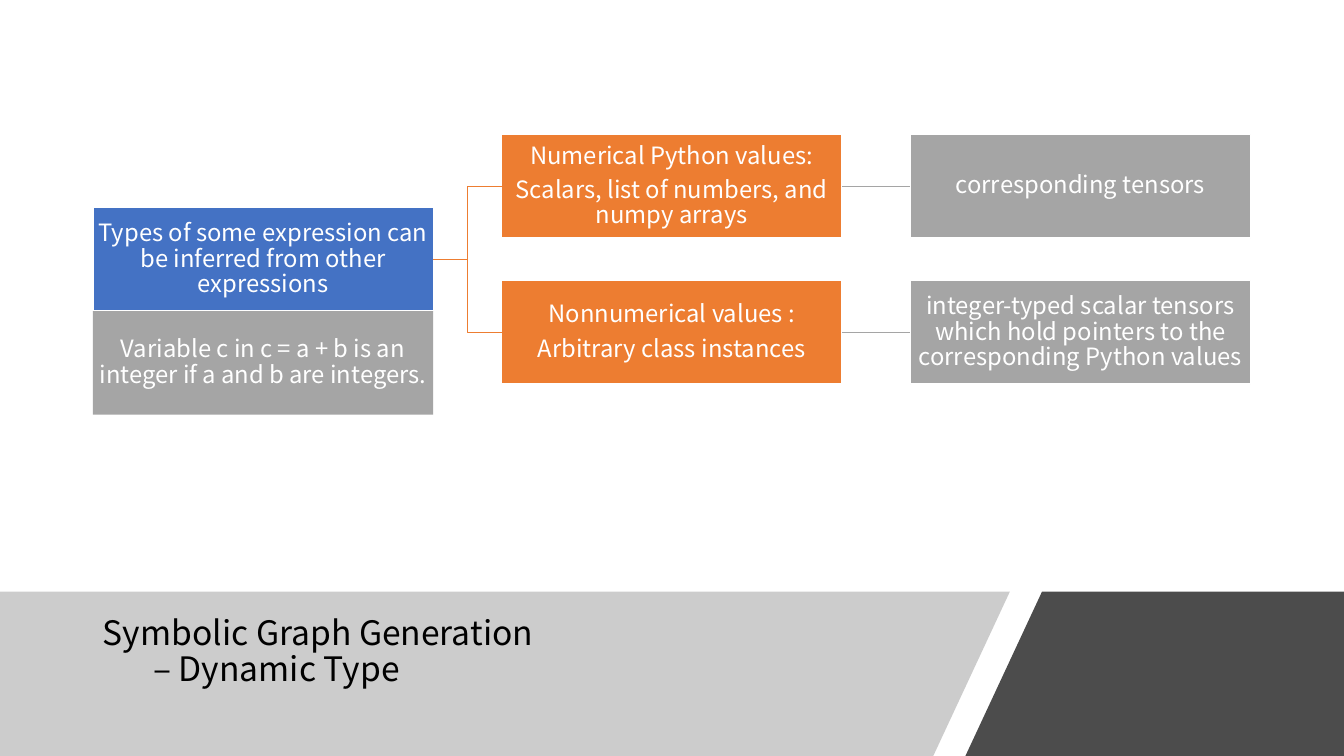
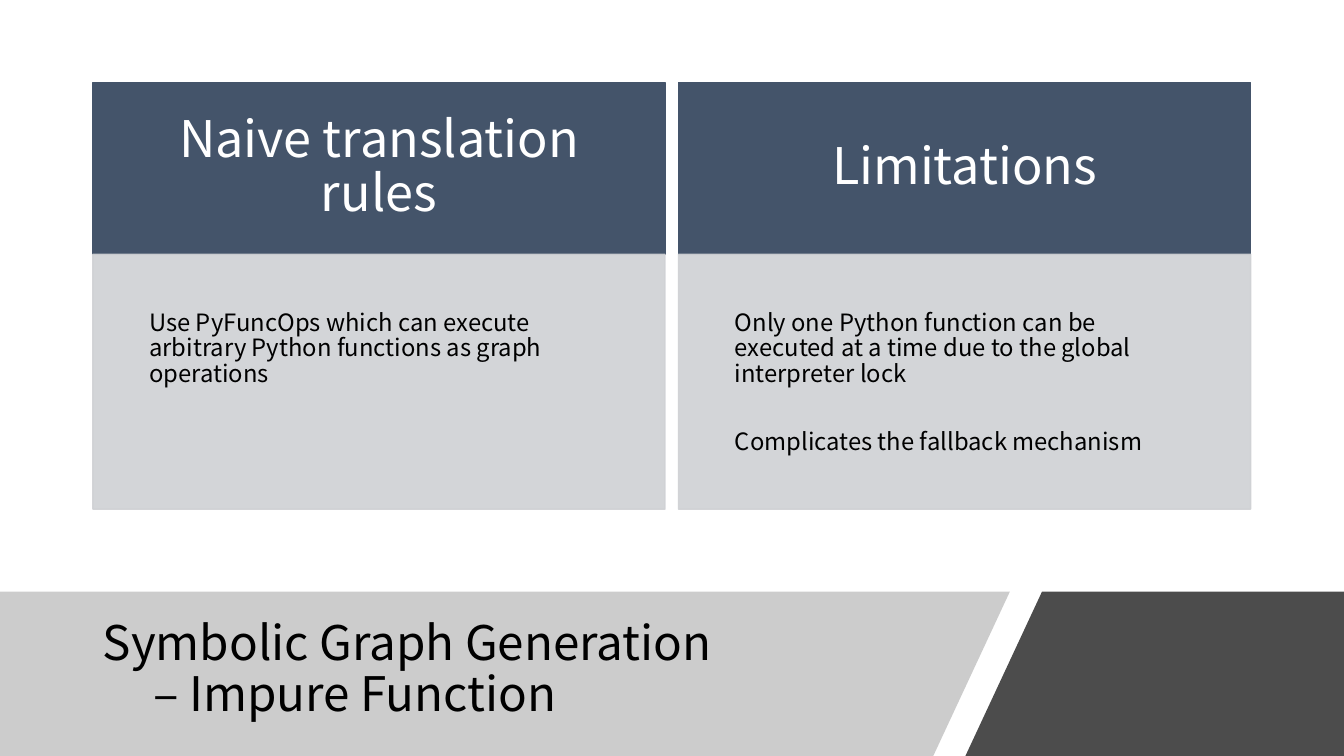
from lxml.etree import SubElement
from pptx import Presentation
from pptx.dml.color import RGBColor
from pptx.enum.shapes import MSO_CONNECTOR as CONNECTOR, MSO_SHAPE as SHAPE
from pptx.enum.text import MSO_ANCHOR as ANCHOR, MSO_AUTO_SIZE as AUTO_SIZE, PP_ALIGN as ALIGN
from pptx.oxml.ns import qn
from pptx.util import Cm, Pt

FONT = "Noto Sans CJK SC"
BLACK = RGBColor(0x00, 0x00, 0x00)
WHITE = RGBColor(0xFF, 0xFF, 0xFF)
MID_GREY = RGBColor(0x80, 0x80, 0x80)
BLUE = RGBColor(0x44, 0x72, 0xC4)
ORANGE = RGBColor(0xED, 0x7D, 0x31)
GREY = RGBColor(0xA5, 0xA5, 0xA5)
NAVY = RGBColor(0x44, 0x54, 0x6A)
PALE = RGBColor(0xCF, 0xD1, 0xD4)

PAGE_WIDTH, PAGE_HEIGHT = Cm(33.87), Cm(19.05)
BAND_TOP = Cm(14.91)


def set_opacity(fill_parent, percent):
    """Make the solid fill found below an element translucent."""
    color = fill_parent.find(qn("a:solidFill"))[0]
    SubElement(color, qn("a:alpha")).set("val", str(percent * 1000))


def add_span(para, text, size, color):
    span = para.add_run()
    span.text = text
    span.font.name = FONT
    span.font.size = Pt(size)
    span.font.color.rgb = color


def add_box(page, place, fill, line=None, opacity=100):
    box = page.shapes.add_shape(SHAPE.RECTANGLE, *place)
    box.shadow.inherit = False
    box.fill.solid()
    box.fill.fore_color.rgb = fill
    if line is None:
        box.line.fill.background()
    else:
        box.line.color.rgb = line
        box.line.width = Pt(1)
    if opacity < 100:
        properties = box.element.spPr
        set_opacity(properties, opacity)
        set_opacity(properties.find(qn("a:ln")), opacity)
    return box


def write(box, lines, size, color, inset, align=ALIGN.CENTER, anchor=ANCHOR.MIDDLE, gap=6):
    """Fill a box with one paragraph a line; inset is (sides, top and bottom)."""
    frame = box.text_frame
    frame.word_wrap = True
    frame.vertical_anchor = anchor
    frame.margin_left = frame.margin_right = inset[0]
    frame.margin_top = frame.margin_bottom = inset[1]
    for index, line in enumerate(lines):
        para = frame.add_paragraph() if index else frame.paragraphs[0]
        para.alignment = align
        para.line_spacing = 0.9
        para.space_after = Pt(gap)
        add_span(para, line, size, color)


# Shared footer: two slanted bands and the title
def add_band(page, corners, fill, opacity):
    builder = page.shapes.build_freeform(*corners[0], scale=1.0)
    builder.add_line_segments(corners[1:], close=True)
    band = builder.convert_to_shape()
    band.shadow.inherit = False
    band.fill.solid()
    band.fill.fore_color.rgb = fill
    band.line.fill.background()
    set_opacity(band.element.spPr, opacity)


def add_footer(page):
    add_band(page, [(0, BAND_TOP), (Cm(25.45), BAND_TOP),
                    (Cm(23.52), PAGE_HEIGHT), (0, PAGE_HEIGHT)], MID_GREY, 40)
    add_band(page, [(Cm(26.26), BAND_TOP), (PAGE_WIDTH, BAND_TOP),
                    (PAGE_WIDTH, PAGE_HEIGHT), (Cm(24.33), PAGE_HEIGHT)], BLACK, 70)


def set_title(page, first, second, size, bottom_inset):
    title = page.shapes.title
    title.left, title.top, title.width, title.height = Cm(2.34), Cm(15.37), Cm(21.44), Cm(3.05)
    frame = title.text_frame
    frame.auto_size = AUTO_SIZE.NONE
    frame.word_wrap = True
    frame.vertical_anchor = ANCHOR.MIDDLE
    frame.margin_bottom = bottom_inset
    para = frame.paragraphs[0]
    para.alignment = ALIGN.LEFT
    para.line_spacing = 0.9
    add_span(para, first, size, BLACK)
    para.add_line_break()
    add_span(para, "\t" + second, size, BLACK)
    # The title lies in front of the bands
    title.element.getparent().append(title.element)


def add_page(deck, first, second, size, bottom_inset=Cm(0.13)):
    page = deck.slides.add_slide(deck.slide_layouts[5])
    add_footer(page)
    set_title(page, first, second, size, bottom_inset)
    return page


# Type tree: a root with its note, branching into kinds and their results
def join(page, start, end, color, kind):
    link = page.shapes.add_connector(kind, 0, 0, 0, 0)
    link.begin_connect(start, 3)
    link.end_connect(end, 1)
    link.line.color.rgb = color
    link.line.width = Pt(1)
    SubElement(link.element.spPr, qn("a:effectLst"))


def add_type_tree(page, left, top, root_text, note_text, branches):
    width, height = Cm(8.58), Cm(2.61)
    column_step, row_step = Cm(10.3), Cm(3.68)

    def add_node(column, y, lines, fill, line=WHITE):
        node = add_box(page, (left + column * column_step, y, width, height), fill, line)
        write(node, lines, 17, WHITE, (Cm(0.03), Cm(0.03)))
        return node

    root_top = top + row_step * (len(branches) - 1) // 2
    root = add_node(0, root_top, [root_text], BLUE)
    add_node(0, root_top + height, [note_text], GREY, None)
    for row, (kind_lines, result) in enumerate(branches):
        y = top + row * row_step
        kind_node = add_node(1, y, kind_lines, ORANGE)
        result_node = add_node(2, y, [result], GREY)
        join(page, root, kind_node, ORANGE, CONNECTOR.ELBOW)
        join(page, kind_node, result_node, GREY, CONNECTOR.STRAIGHT)


# Panel: a dark heading over a pale body
def add_panel(page, left, top, width, heading, lines):
    head_height, body_height = Cm(4.33), Cm(6.42)
    head = add_box(page, (left, top, width, head_height), NAVY, NAVY)
    write(head, [heading], 36, WHITE, (Cm(1.14), Cm(0.3)))
    body = add_box(page, (left, top + head_height, width, body_height), PALE, PALE, 90)
    write(body, lines, 17, BLACK, (Cm(1.42), Cm(1.42)), ALIGN.LEFT, ANCHOR.TOP, gap=30)


def build_dynamic_type(deck):
    page = add_page(deck, "Symbolic Graph Generation", "– Dynamic Type", 24, Cm(1.04))
    add_type_tree(
        page, Cm(2.34), Cm(3.39),
        "Types of some expression can be inferred from other expressions",
        "Variable c in c = a + b is an integer if a and b are integers.",
        [(["Numerical Python values:", "Scalars, list of numbers, and numpy arrays"],
          "corresponding tensors"),
         (["Nonnumerical values :", "Arbitrary class instances"],
          "integer-typed scalar tensors which hold pointers to the corresponding Python values")])


def build_impure_function(deck):
    page = add_page(deck, "Symbolic Graph Generation", "– Impure Function", 34)
    panels = [
        ("Naive translation rules",
         ["Use PyFuncOps which can execute arbitrary Python functions as graph operations"]),
        ("Limitations",
         ["Only one Python function can be executed at a time due to the global interpreter lock",
          "Complicates the fallback mechanism"]),
    ]
    for index, (heading, lines) in enumerate(panels):
        add_panel(page, Cm(2.34) + index * Cm(14.76), Cm(2.08), Cm(14.42), heading, lines)


def main():
    deck = Presentation()
    deck.slide_width, deck.slide_height = PAGE_WIDTH, PAGE_HEIGHT
    build_dynamic_type(deck)
    build_impure_function(deck)
    deck.save("out.pptx")


if __name__ == "__main__":
    main()
